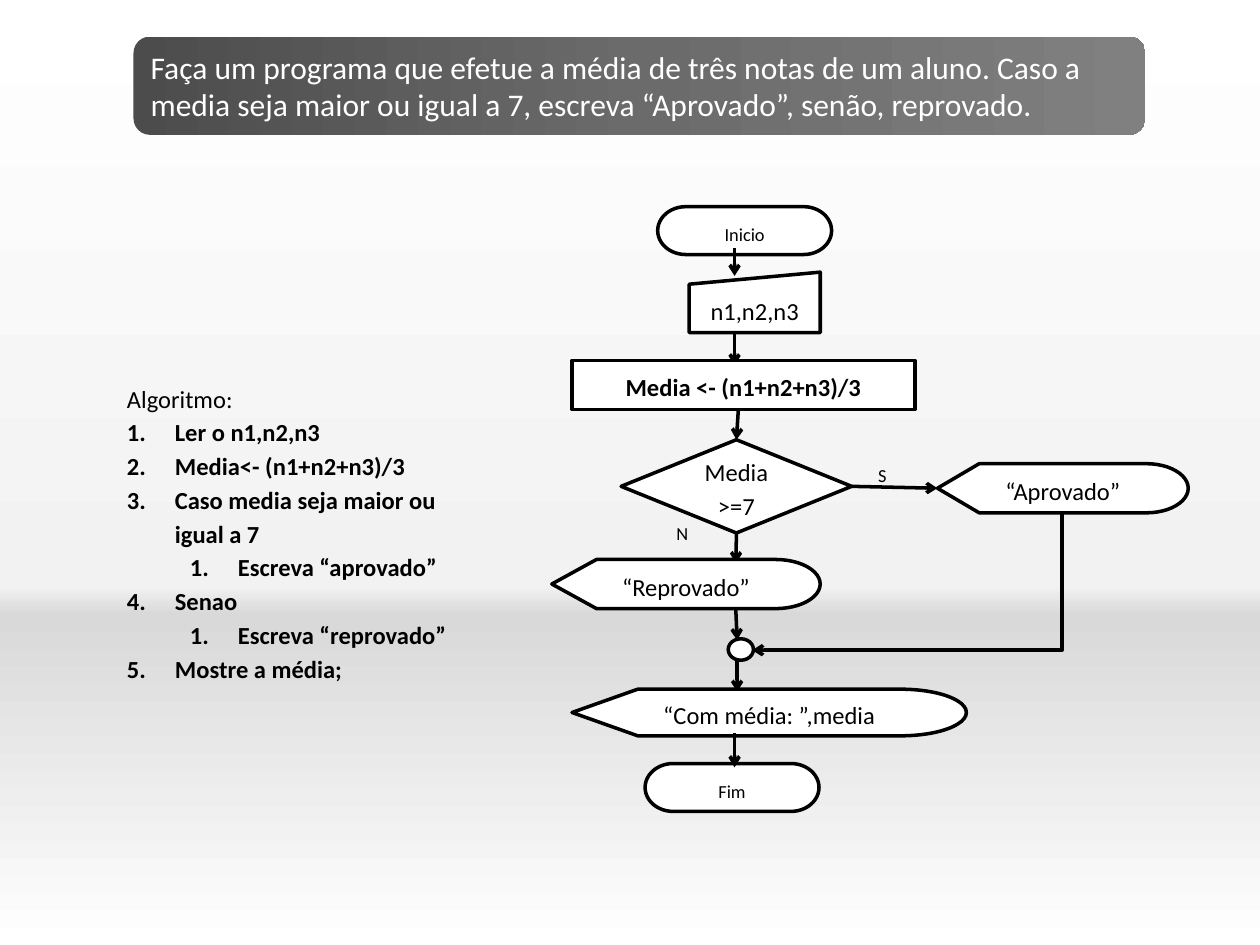
from lxml import etree
from pptx import Presentation
from pptx import util as u
from pptx.dml.color import RGBColor
from pptx.enum import shapes, text
from pptx.oxml import ns

COLORS = {"ink": "000000", "paper": "FFFFFF"}
PAGE_STOPS = [(0, "FFFFFF"), (62, "F2F2F2"), (65, "D9D9D9"), (100, "FFFFFF")]
TITLE_STOPS = [(0, "4C4C4C"), (50, "6B6B6B"), (100, "808080")]
COLUMNS, ROWS = 100, 75
WIDTH, HEIGHT = u.Inches(10), u.Inches(7.5)
KIND = shapes.MSO_SHAPE
TOP, LEFT, BOTTOM, RIGHT = range(4)


def col(count):
    return round(count * WIDTH / COLUMNS)


def row(count):
    return round(count * HEIGHT / ROWS)


def place(box):
    left, top, width, height = box
    return col(left), row(top), col(width), row(height)


def child(parent, tag, **attributes):
    return etree.SubElement(parent, ns.qn(tag), **attributes)


def paint_gradient(fill, owner, stops, degrees):
    fill.gradient()
    gradient = next(owner.iter(ns.qn("a:gradFill")))
    for part in list(gradient):
        gradient.remove(part)
    stop_list = child(gradient, "a:gsLst")
    for share, color in stops:
        stop = child(stop_list, "a:gs", pos=str(share * 1000))
        child(stop, "a:srgbClr", val=color)
    child(gradient, "a:lin", ang=str(degrees * 60000), scaled="0")


def write(frame, words, size=14, color="ink", bold=False, align=None, level=0,
          indent=None, spacing=1.15, after=None, first=True):
    frame.word_wrap = True
    paragraph = frame.paragraphs[0] if first else frame.add_paragraph()
    paragraph.level = level
    paragraph.alignment = align or text.PP_ALIGN.LEFT
    if indent:
        properties = paragraph._p.get_or_add_pPr()
        properties.set("marL", str(col(indent)))
        properties.set("indent", str(-col(3.8)))
        child(properties, "a:buAutoNum", type="arabicPeriod")
    if spacing:
        paragraph.line_spacing = spacing
    if after:
        paragraph.space_after = u.Pt(after)
    run = paragraph.add_run()
    run.text = words
    run.font.name = "Calibri"
    run.font.size = u.Pt(size)
    run.font.bold = bold
    run.font.color.rgb = RGBColor.from_string(COLORS[color])


def add_title(slide, box):
    banner = slide.shapes.add_shape(KIND.ROUNDED_RECTANGLE, *place(box))
    banner.shadow.inherit = False
    banner.line.fill.background()
    paint_gradient(banner.fill, banner._element, TITLE_STOPS, 0)
    banner.text_frame.vertical_anchor = text.MSO_ANCHOR.TOP
    write(banner.text_frame,
          "Faça um programa que efetue a média de três notas de um aluno. "
          "Caso a media seja maior ou igual a 7, escreva “Aprovado”, "
          "senão, reprovado.", size=18, color="paper", spacing=None)


def add_algorithm(slide, box):
    frame = slide.shapes.add_textbox(*place(box)).text_frame
    write(frame, "Algoritmo:")
    steps = [(0, "Ler o n1,n2,n3"), (0, "Media<- (n1+n2+n3)/3"),
             (0, "Caso media seja maior ou igual a 7"),
             (1, "Escreva “aprovado”"), (0, "Senao"),
             (1, "Escreva “reprovado”"), (0, "Mostre a média;")]
    for level, step in steps:
        write(frame, step, bold=True, level=level, indent=3.8 + 5 * level,
              first=False)


def add_flowchart(slide, box):
    x0, y0 = box[:2]

    def inside(left, top, width, height):
        return place((x0 + left, y0 + top, width, height))

    def outline(part):
        part.line.color.rgb = RGBColor.from_string(COLORS["ink"])
        part.line.width = u.Pt(2)

    def node(kind, area, words=None, anchor=text.MSO_ANCHOR.MIDDLE, **style):
        step = slide.shapes.add_shape(kind, *inside(*area))
        step.shadow.inherit = False
        step.fill.solid()
        step.fill.fore_color.rgb = RGBColor.from_string(COLORS["paper"])
        outline(step)
        if words:
            step.text_frame.vertical_anchor = anchor
            write(step.text_frame, words, align=text.PP_ALIGN.CENTER, **style)
        return step

    def terminal(area, words):
        return node(KIND.FLOWCHART_TERMINATOR, area, words,
                    anchor=text.MSO_ANCHOR.TOP, size=10.5)

    def label(area, words):
        note = slide.shapes.add_textbox(*inside(*area))
        write(note.text_frame, words, size=10.5, after=10)

    def arrow(start, end, source=None, target=None, bent=False):
        (x1, y1), (x2, y2) = start, end
        if bent:
            middle_x, middle_y = (x1 + x2) / 2, (y1 + y2) / 2
            half_w, half_h = abs(y2 - y1) / 2, abs(x2 - x1) / 2
            x1, x2 = middle_x - half_w, middle_x + half_w
            y1, y2 = middle_y - half_h, middle_y + half_h
        style = shapes.MSO_CONNECTOR.ELBOW if bent else shapes.MSO_CONNECTOR.STRAIGHT
        flow = slide.shapes.add_connector(
            style, col(x0 + x1), row(y0 + y1), col(x0 + x2), row(y0 + y2))
        properties = flow._element.spPr
        if bent:
            properties.find(ns.qn("a:prstGeom")).set("prst", "bentConnector2")
            properties.find(ns.qn("a:xfrm")).set("rot", str(90 * 60000))
        outline(flow)
        child(properties.find(ns.qn("a:ln")), "a:tailEnd", type="arrow")
        child(properties, "a:effectLst")
        if source:
            flow.begin_connect(*source)
        if target:
            flow.end_connect(*target)

    arrow((14.7, 36), (14.7, 38.5))
    terminal((8.4, 0, 13.8, 3.8), "Inicio")
    arrow((14.5, 3.3), (14.5, 5.5))
    node(KIND.FLOWCHART_MANUAL_INPUT, (10.9, 5.2, 10.4, 4.8), "n1,n2,n3", after=10)
    arrow((14.5, 10), (14.5, 12.6))
    node(KIND.RECTANGLE, (1.6, 12.2, 27.2, 3.9), "Media <- (n1+n2+n3)/3",
         bold=True, after=10)
    node(KIND.FLOWCHART_DISPLAY, (1.6, 38.3, 31.3, 3.7), "“Com média: ”,media",
         after=10)
    terminal((7.4, 44.2, 13.8, 3.8), "Fim")
    decision = node(KIND.FLOWCHART_DECISION, (5.5, 18.5, 18.3, 7.4), "Media >=7",
                    after=10)
    arrow((14.8, 16.1), (14.8, 18.5), target=(decision, TOP))
    arrow((14.5, 25.9), (14.6, 28.3), source=(decision, BOTTOM))
    node(KIND.FLOWCHART_CONNECTOR, (14, 34.3, 2, 1.7))
    label((24.9, 19.7, 2.5, 2.3), "S")
    label((8.9, 24.3, 2.5, 2.3), "N")
    node(KIND.FLOWCHART_DISPLAY, (0, 28, 21.3, 3.9), "“Reprovado”", after=10)
    arrow((14.6, 32), (14.7, 34.4))
    approved = node(KIND.FLOWCHART_DISPLAY, (30.6, 20.4, 19.9, 3.9), "“Aprovado”",
                    after=10)
    arrow((23.9, 22.2), (30.6, 22.1), (decision, RIGHT), (approved, LEFT))
    arrow((14.5, 41.8), (14.5, 44.5))
    arrow((40.5, 24.3), (15.9, 35.2), bent=True)


def main():
    deck = Presentation()
    deck.slide_width, deck.slide_height = WIDTH, HEIGHT
    slide = deck.slides.add_slide(deck.slide_layouts[6])
    paint_gradient(slide.background.fill, slide._element, PAGE_STOPS, 90)
    add_algorithm(slide, (9.1, 29.6, 28.7, 18.2))
    add_flowchart(slide, (43.8, 16.4, 50.5, 48))
    add_title(slide, (10.6, 2.9, 80.3, 7.8))
    deck.save("out.pptx")


if __name__ == "__main__":
    main()
